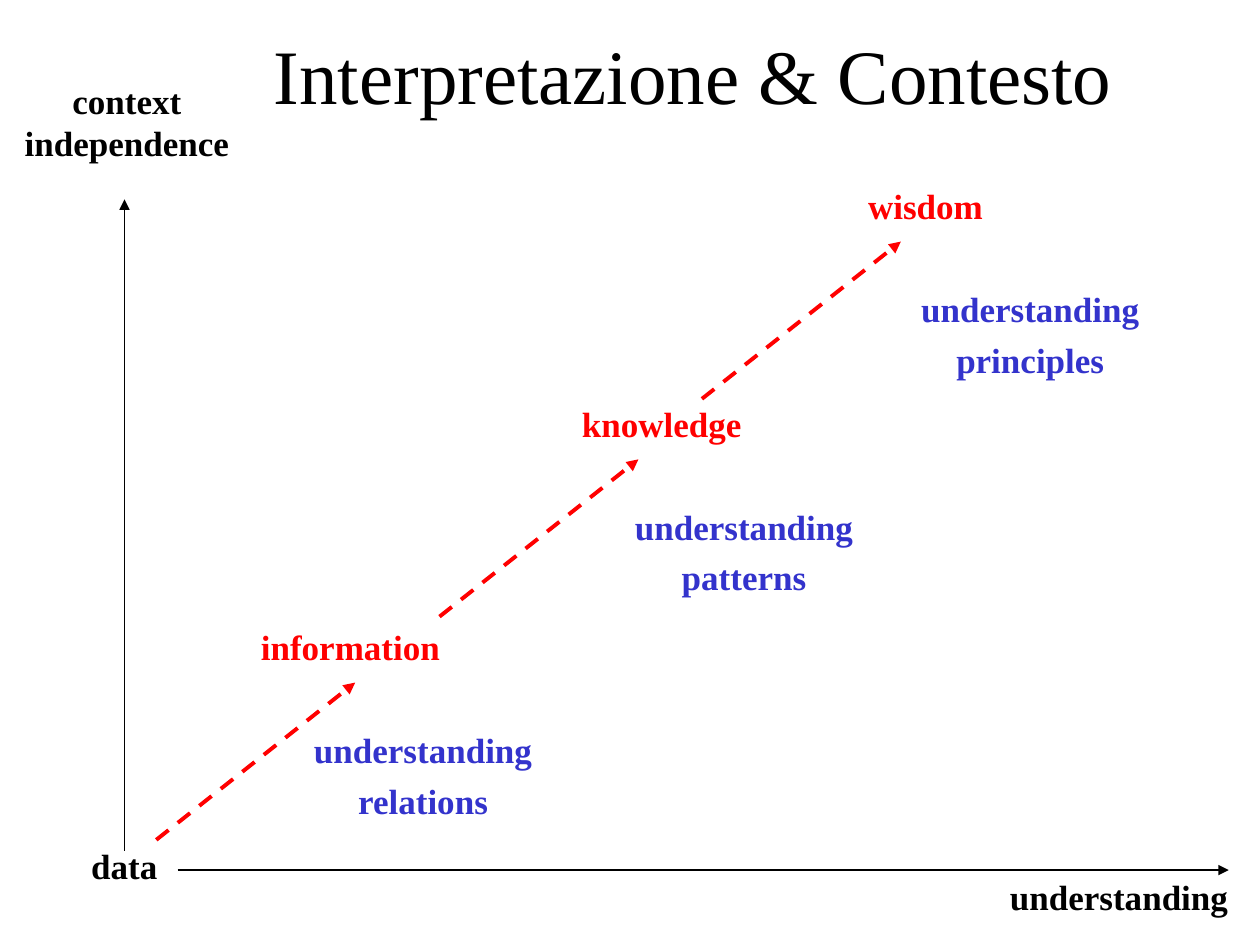
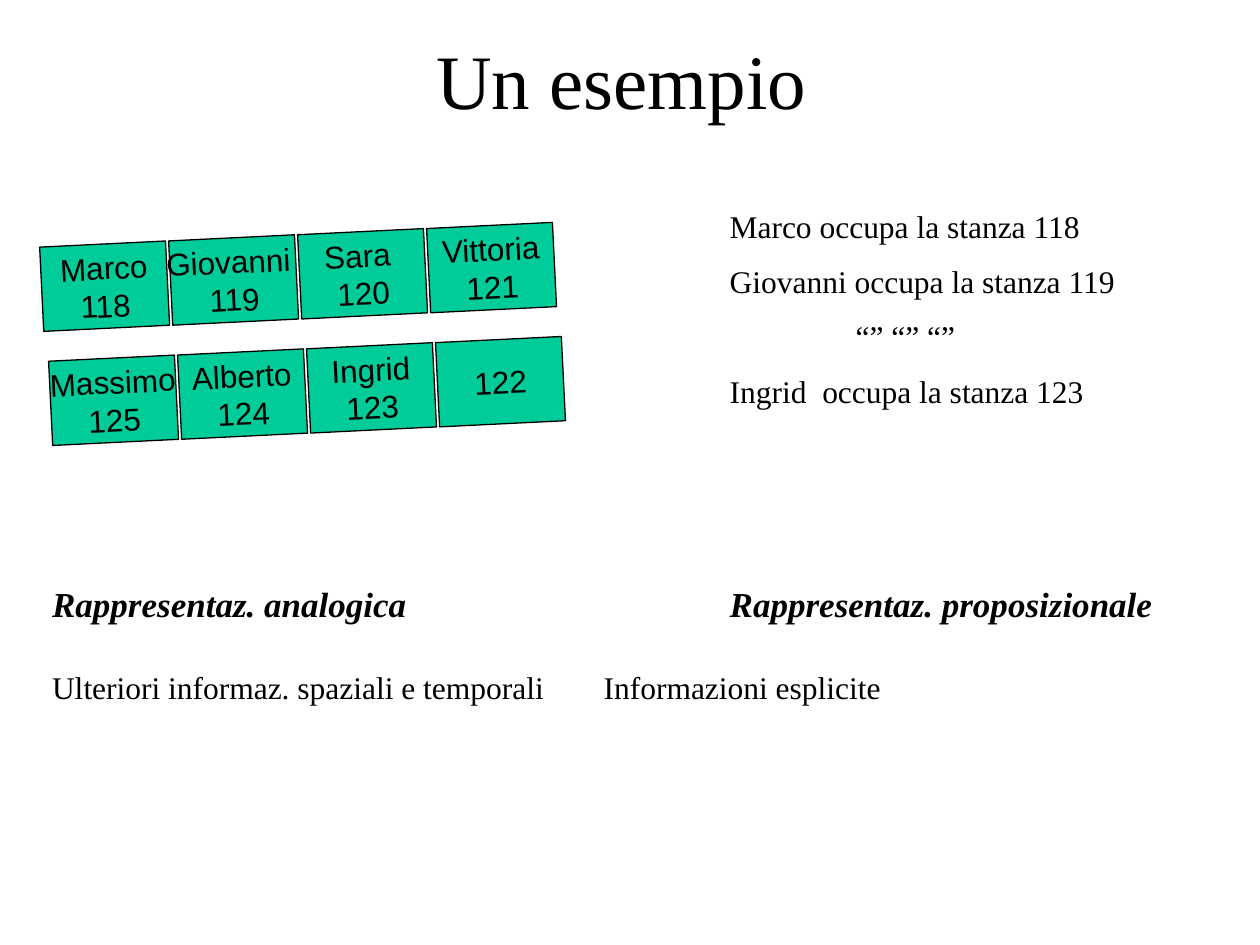
import pptx
import pptx.util
import pptx.dml.color
import pptx.enum.dml
import pptx.enum.shapes
import pptx.enum.text
import pptx.oxml
import pptx.oxml.ns

Cm, Pt = pptx.util.Cm, pptx.util.Pt
rgb = pptx.dml.color.RGBColor.from_string
PP_ALIGN, MSO_ANCHOR = pptx.enum.text.PP_ALIGN, pptx.enum.text.MSO_ANCHOR
BLACK, RED, BLUE, GREEN = "000000", "FF0000", "3333CC", "00CC99"
TITLE = dict(size=44, center=True, middle=True, wrap=True)
LABEL = dict(size=20, bold=True)


def write(sp, text, size=18, color=BLACK, font="Times New Roman", bold=False,
          italic=False, center=False, middle=False, wrap=False, before=0, after=0):
    tf = sp.text_frame
    tf.word_wrap = wrap
    tf.vertical_anchor = MSO_ANCHOR.MIDDLE if middle else MSO_ANCHOR.TOP
    for i, line in enumerate(text.split("\n")):
        p = tf.add_paragraph() if i else tf.paragraphs[0]
        p.alignment = PP_ALIGN.CENTER if center else PP_ALIGN.LEFT
        p.space_before, p.space_after = Pt(before), Pt(after)
        r = p.add_run()
        r.text = line
        r.font.name, r.font.size = font, Pt(size)
        r.font.bold, r.font.italic = bold, italic
        r.font.color.rgb = rgb(color)
    return tf


def arrow(s, x1, y1, x2, y2, color=BLACK, width=0.74, dashed=False):
    sp = s.shapes.add_connector(pptx.enum.shapes.MSO_CONNECTOR.STRAIGHT,
                                Cm(x1), Cm(y1), Cm(x2), Cm(y2))
    sp.line.color.rgb = rgb(color)
    sp.line.width = Pt(width)
    if dashed:
        sp.line.dash_style = pptx.enum.dml.MSO_LINE.DASH
    ln = sp.line._get_or_add_ln()
    ln.append(pptx.oxml.parse_xml(
        '<a:tailEnd %s type="triangle"/>' % pptx.oxml.ns.nsdecls("a")))
    sp._element.spPr.append(pptx.oxml.parse_xml(
        '<a:effectLst %s/>' % pptx.oxml.ns.nsdecls("a")))


prs = pptx.Presentation()
prs.slide_width, prs.slide_height = Cm(25.4), Cm(19.05)
blank = prs.slide_layouts[6]

s = prs.slides.add_slide(blank)
box = s.shapes.add_textbox
write(box(Cm(3.18), Cm(0.21), Cm(21.59), Cm(2.54)), "Interpretazione & Contesto", **TITLE)
arrow(s, 2.51, 17.15, 2.51, 4.02)
arrow(s, 3.58, 17.54, 24.77, 17.54)
write(box(Cm(1.59), Cm(16.89), Cm(2), Cm(1.12)), "data", before=5, **LABEL)
write(box(Cm(20.11), Cm(17.53), Cm(5), Cm(1.12)), "understanding", before=5, **LABEL)
write(box(Cm(0.16), Cm(1.47), Cm(4.8), Cm(1.96)), "context\nindependence",
      center=True, **LABEL)

steps = [
    ("information", 5.01, 4.3, 12.49, 3.15, "relations"),
    ("knowledge", 11.48, 3.9, 7.99, 8.86, "patterns"),
    ("wisdom", 17.25, 3, 3.6, 14.15, "principles"),
]
for name, x, w, y, start, gained in steps:
    arrow(s, start, y + 4.44, start + 4.01, y + 1.27, RED, 2.24, True)
    write(box(Cm(x), Cm(y), Cm(w), Cm(1.12)), name, color=RED, before=5, **LABEL)
    write(box(Cm(x + 1.02), Cm(y + 2.07), Cm(5), Cm(2.13)), "understanding\n" + gained,
          color=BLUE, center=True, before=5, **LABEL)

s = prs.slides.add_slide(blank)
box = s.shapes.add_textbox
write(box(Cm(1.1), Cm(0), Cm(22.86), Cm(3.18)), "Un esempio", **TITLE)

rooms = [
    ["Marco\n118", "Giovanni \n119", "Sara \n120", "Vittoria\n121"],
    ["Massimo\n125", "Alberto\n124", "Ingrid\n123", "122"],
]
for i, row in enumerate(rooms):
    for j, room in enumerate(row):
        sp = s.shapes.add_shape(pptx.enum.shapes.MSO_SHAPE.FLOWCHART_PROCESS,
                                Cm(0.84 + 2.6 * j + 0.18 * i),
                                Cm(4.92 - 0.125 * j + 2.3 * i), Cm(2.54), Cm(1.7))
        sp.rotation = 357.2
        sp.shadow.inherit = False
        sp.fill.solid()
        sp.fill.fore_color.rgb = rgb(GREEN)
        sp.line.color.rgb = rgb(BLACK)
        sp.line.width = Pt(0.74)
        write(sp, room, font="Arial", center=True, middle=True)

facts = ("Marco occupa la stanza 118\nGiovanni occupa la stanza 119\n"
         "“” “” “”\nIngrid  occupa la stanza 123")
tf = write(box(Cm(14.46), Cm(4.05), Cm(10), Cm(4.6)), facts, wrap=True, after=9.8)
tf.paragraphs[2]._p.get_or_add_pPr().set("marL", str(Cm(2.54)))

columns = [
    (0.8, "Rappresentaz. analogica", 0.8, "Ulteriori informaz. spaziali e temporali"),
    (14.46, "Rappresentaz. proposizionale", 11.92, "Informazioni esplicite"),
]
for x, heading, x_detail, detail in columns:
    write(box(Cm(x), Cm(11.62), Cm(10.5), Cm(1.12)), heading, italic=True, wrap=True, **LABEL)
    write(box(Cm(x_detail), Cm(13.34), Cm(11), Cm(1.02)), detail, wrap=True)

prs.save("out.pptx")
